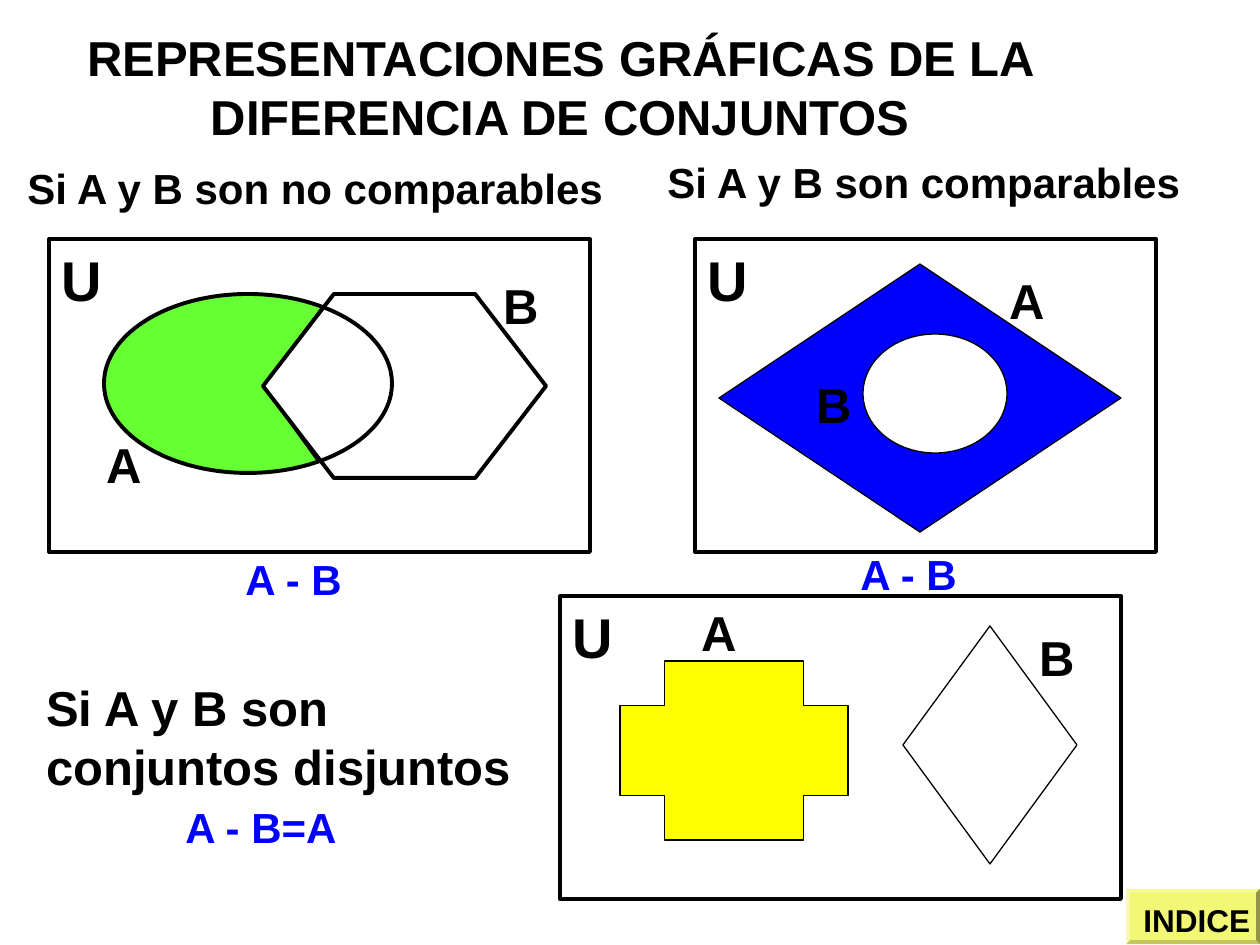
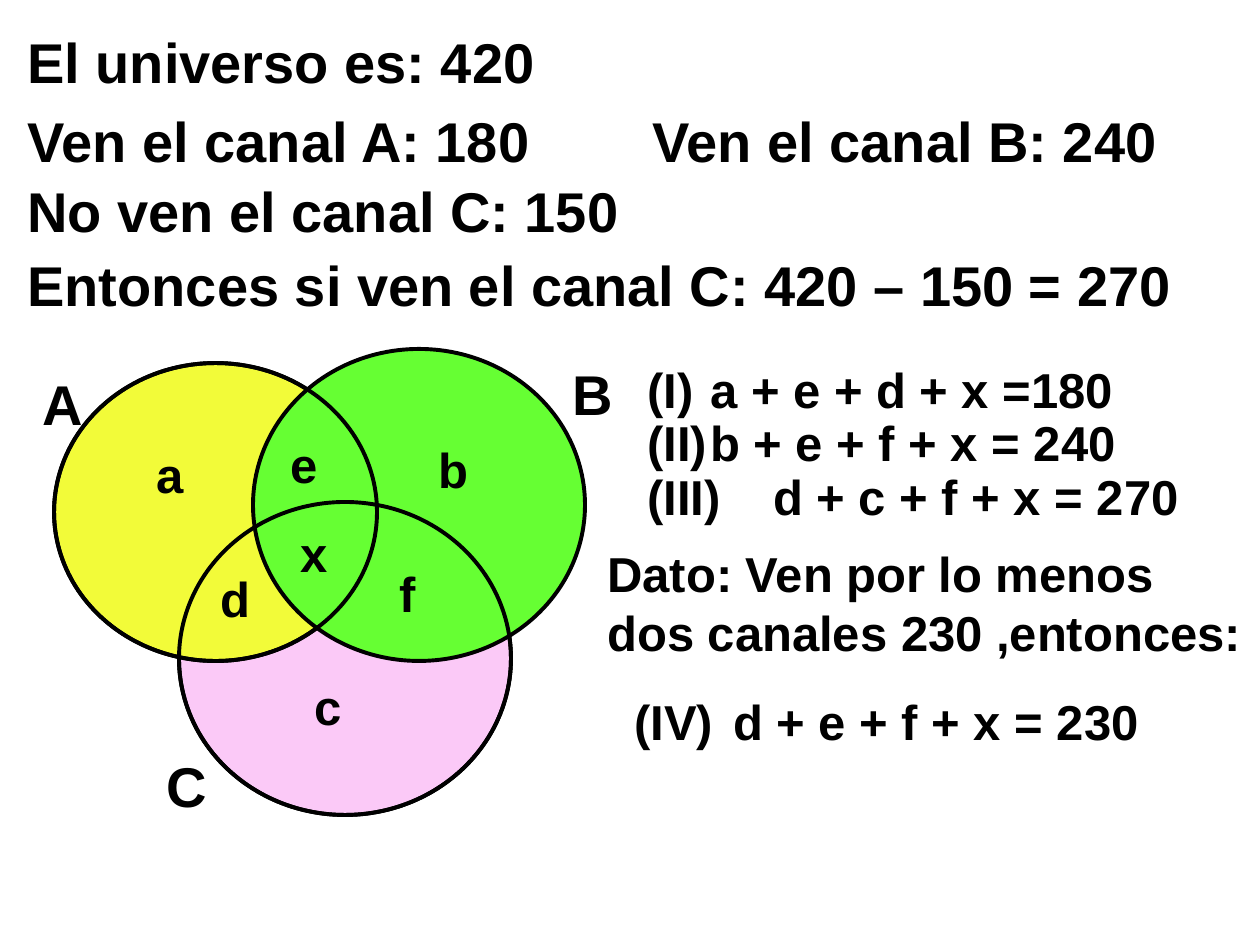
from dataclasses import dataclass, replace
from math import cos, radians, sin

from lxml.etree import SubElement
from pptx import Presentation
from pptx.dml.color import RGBColor
from pptx.enum.shapes import MSO_SHAPE as Geo
from pptx.enum.text import MSO_AUTO_SIZE as AutoSize, PP_ALIGN as Align
from pptx.oxml.ns import qn
from pptx.util import Emu, Pt

PX = 914400 / 126
FONT = "Arial"
COLORS = {
    "black": "000000",
    "white": "FFFFFF",
    "blue": "0000FF",
    "green": "66FF33",
    "yellow": "FFFF00",
    "lemon": "F2FB39",
    "pink": "FBC9F7",
    "button": "F2F876",
}
THIN, THICK = 0.75, 2.25


@dataclass(frozen=True)
class Figure:
    geo: Geo
    x: int
    y: int
    w: int
    h: int
    fill: str | None = None
    line: float = THICK
    adj: float | None = None


@dataclass(frozen=True)
class Label:
    text: str
    x: int
    y: int
    w: int = 74
    size: int = 28
    color: str = "black"
    lines: int = 1
    align: Align = Align.LEFT
    tab: int = 0
    indent: int = 0
    right: int = 13


def px(n: float) -> Emu:
    return Emu(round(n * PX))


def rgb(name: str) -> RGBColor:
    return RGBColor.from_string(COLORS[name])


def paint(s, fill: str | None, line: float) -> None:
    s.shadow.inherit = False
    if fill:
        s.fill.solid()
        s.fill.fore_color.rgb = rgb(fill)
    else:
        s.fill.background()
    if line:
        s.line.color.rgb = rgb("black")
        s.line.width = Pt(line)
    else:
        s.line.fill.background()


def draw_figure(slide, f: Figure) -> None:
    s = slide.shapes.add_shape(f.geo, px(f.x), px(f.y), px(f.w), px(f.h))
    if f.adj is not None:
        s.adjustments[0] = f.adj
    paint(s, f.fill, f.line)


def set_tab(p, tab: int, indent: int) -> None:
    pr = p._p.get_or_add_pPr()
    pr.set("marL", "0")
    pr.set("indent", str(px(indent)))
    tabs = SubElement(pr, qn("a:tabLst"))
    SubElement(tabs, qn("a:tab"), pos=str(px(tab)), algn="l")


def draw_label(slide, t: Label) -> None:
    height = 13 + t.size * (2.1 * t.lines + 1.1 * t.text.count("\n"))
    tf = slide.shapes.add_textbox(px(t.x), px(t.y), px(t.w), px(height)).text_frame
    tf.word_wrap = True
    tf.auto_size = AutoSize.SHAPE_TO_FIT_TEXT
    tf.margin_right = px(t.right)
    tf.text = t.text
    for i, p in enumerate(tf.paragraphs):
        p.alignment = t.align
        if i:
            p.space_before = Pt(t.size * 0.625)
        if "\t" in p.text:
            set_tab(p, t.tab, t.indent)
        for r in p.runs:
            r.font.name = FONT
            r.font.size = Pt(t.size)
            r.font.bold = True
            r.font.color.rgb = rgb(t.color)


def draw_difference(slide, oval: Figure, notch: tuple[int, int]) -> None:
    cx, cy = oval.x + oval.w / 2, oval.y + oval.h / 2
    arc = [
        (cx + oval.w / 2 * cos(radians(a)), cy - oval.h / 2 * sin(radians(a)))
        for a in range(59, 301, 12)
    ]
    builder = slide.shapes.build_freeform(*notch, scale=PX)
    builder.add_line_segments(arc, close=True)
    paint(builder.convert_to_shape(), "green", THIN)


def build_differences(slide) -> None:
    oval = Figure(Geo.OVAL, 104, 294, 288, 179)
    universes = [
        Figure(Geo.RECTANGLE, 49, 239, 541, 313),
        Figure(Geo.RECTANGLE, 695, 239, 461, 313),
        Figure(Geo.RECTANGLE, 560, 596, 561, 303),
    ]
    sets = [
        Figure(Geo.HEXAGON, 263, 294, 283, 184, adj=0.385),
        oval,
        Figure(Geo.DIAMOND, 719, 264, 402, 268, "blue", THIN),
        Figure(Geo.OVAL, 863, 334, 144, 119, "white", THIN),
        Figure(Geo.DIAMOND, 903, 626, 174, 238, "white", THIN),
        Figure(Geo.CROSS, 620, 661, 228, 179, "yellow", THIN, 0.25),
        Figure(Geo.BEVEL, 1126, 889, 134, 55, "button", 0, 0.07),
    ]
    labels = [
        Label("REPRESENTACIONES GRÁFICAS DE LA DIFERENCIA DE CONJUNTOS",
              25, 21, 1071, lines=2, align=Align.CENTER),
        Label("Si A y B son no comparables", 15, 156, 615, 24),
        Label("Si A y B son comparables", 655, 150, 556, 24),
        Label("Si A y B son conjuntos disjuntos", 34, 671, 501, lines=2),
        Label("A", 94, 428, 123),
        Label("A", 997, 264, 123),
        Label("A", 689, 596, 123),
        Label("B", 1027, 621, 69),
        Label("B", 491, 269, 123),
        Label("B", 804, 368, 123),
        Label("A - B", 233, 547, 169, 24, "blue"),
        Label("A - B", 848, 542, 169, 24, "blue"),
        Label("A - B=A", 173, 795, 228, 24, "blue"),
        Label("INDICE", 1131, 895, 129, 18, right=0),
    ]
    draw_difference(slide, oval, (263, 386))
    for f in universes + sets:
        draw_figure(slide, f)
    for u in universes:
        draw_label(slide, Label("U", u.x, u.y, size=32))
    for t in labels:
        draw_label(slide, t)


def build_channels(slide) -> None:
    circles = [
        Figure(Geo.OVAL, 179, 502, 332, 313, "pink"),
        Figure(Geo.OVAL, 54, 363, 323, 298, "lemon"),
        Figure(Geo.OVAL, 253, 349, 332, 312, "green"),
    ]
    facts = [
        Label("El universo es: 420", 15, 21, 595, 32),
        Label("Ven el canal A: 180", 15, 100, 586, 32),
        Label("Ven el canal B: 240", 640, 100, 586, 32),
        Label("No ven el canal C: 150", 15, 170, 670, 32),
        Label("Entonces si ven el canal C: 420 – 150 = 270", 15, 244, 1181, 32),
    ]
    channels = [
        Label("A", 30, 363, 84, 32),
        Label("B", 560, 353, 84, 32),
        Label("C", 154, 745, 84, 32),
    ]
    regions = [
        Label("a", 144, 438),
        Label("b", 426, 433),
        Label("c", 302, 670),
        Label("d", 208, 562),
        Label("e", 278, 428),
        Label("f", 387, 557),
        Label("x", 288, 517),
    ]
    equations = [
        Label("(I)\ta + e + d + x =180", 635, 353, 576, tab=141),
        Label("(II)\tb + e + f + x = 240", 635, 406, 576, tab=141),
        Label("(III)\td + c + f + x = 270", 635, 460, 576, tab=141),
        Label("Dato: Ven por lo menos dos canales 230 ,entonces:\n"
              "(IV)\td + e + f + x = 230", 595, 537, 665, lines=3, tab=174, indent=27),
    ]
    outlines = [replace(c, fill=None) for c in circles[:2]]
    for f in circles + outlines:
        draw_figure(slide, f)
    for t in facts + channels + regions + equations:
        draw_label(slide, t)


def main() -> None:
    prs = Presentation()
    prs.slide_width, prs.slide_height = px(1260), px(945)
    for build in (build_differences, build_channels):
        slide = prs.slides.add_slide(prs.slide_layouts[6])
        slide.background.fill.solid()
        slide.background.fill.fore_color.rgb = rgb("white")
        build(slide)
    prs.save("out.pptx")


if __name__ == "__main__":
    main()
